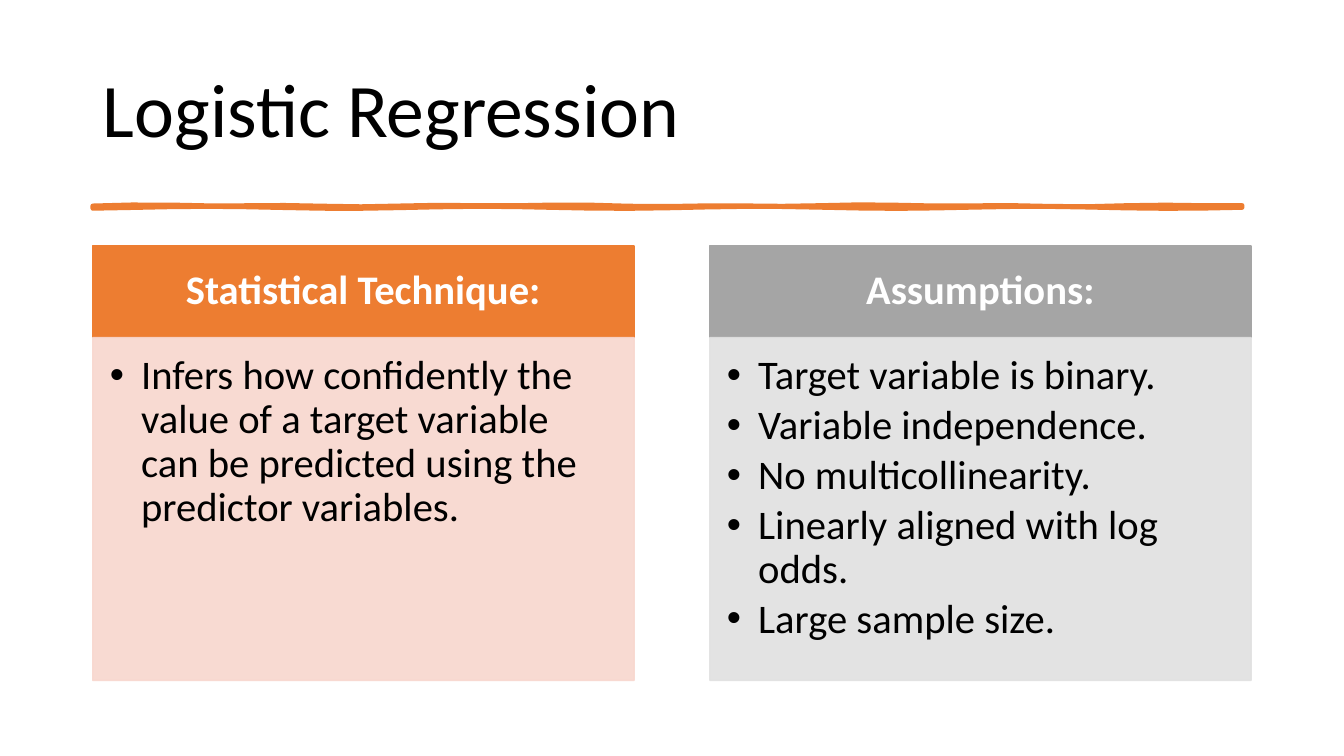
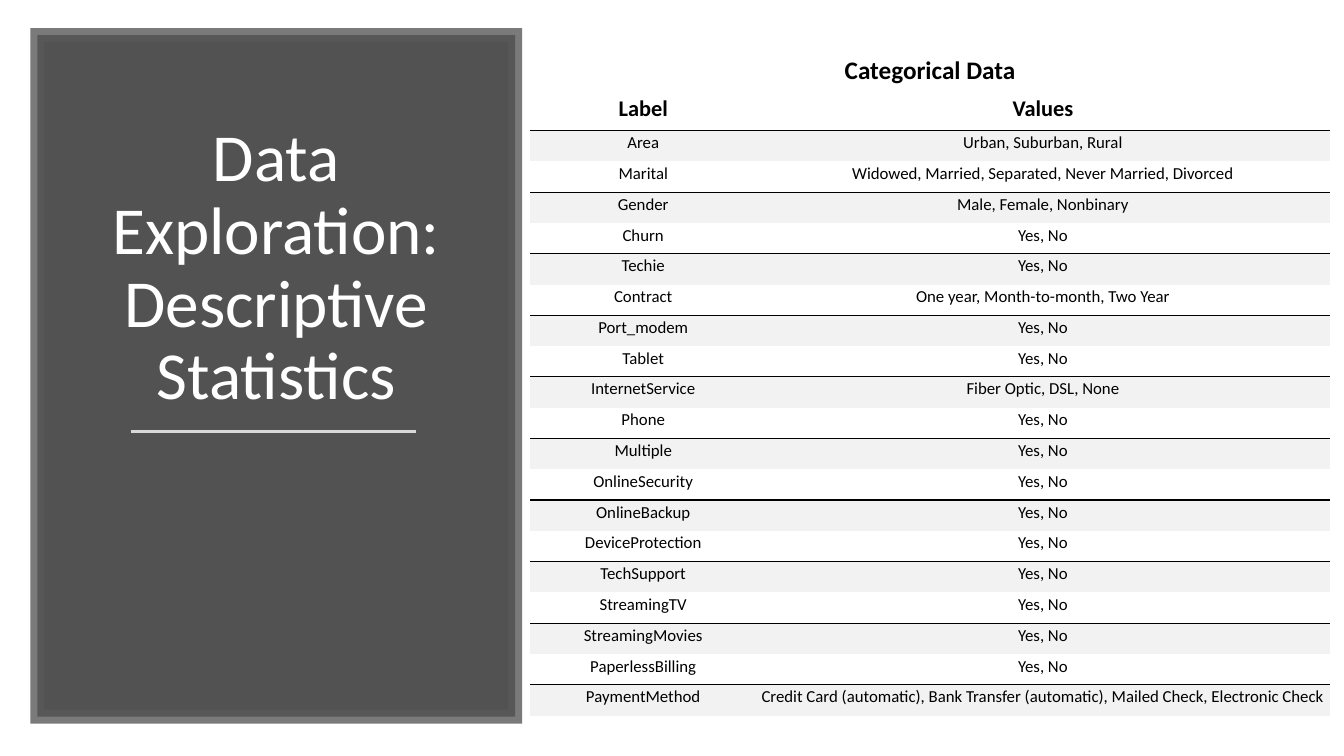
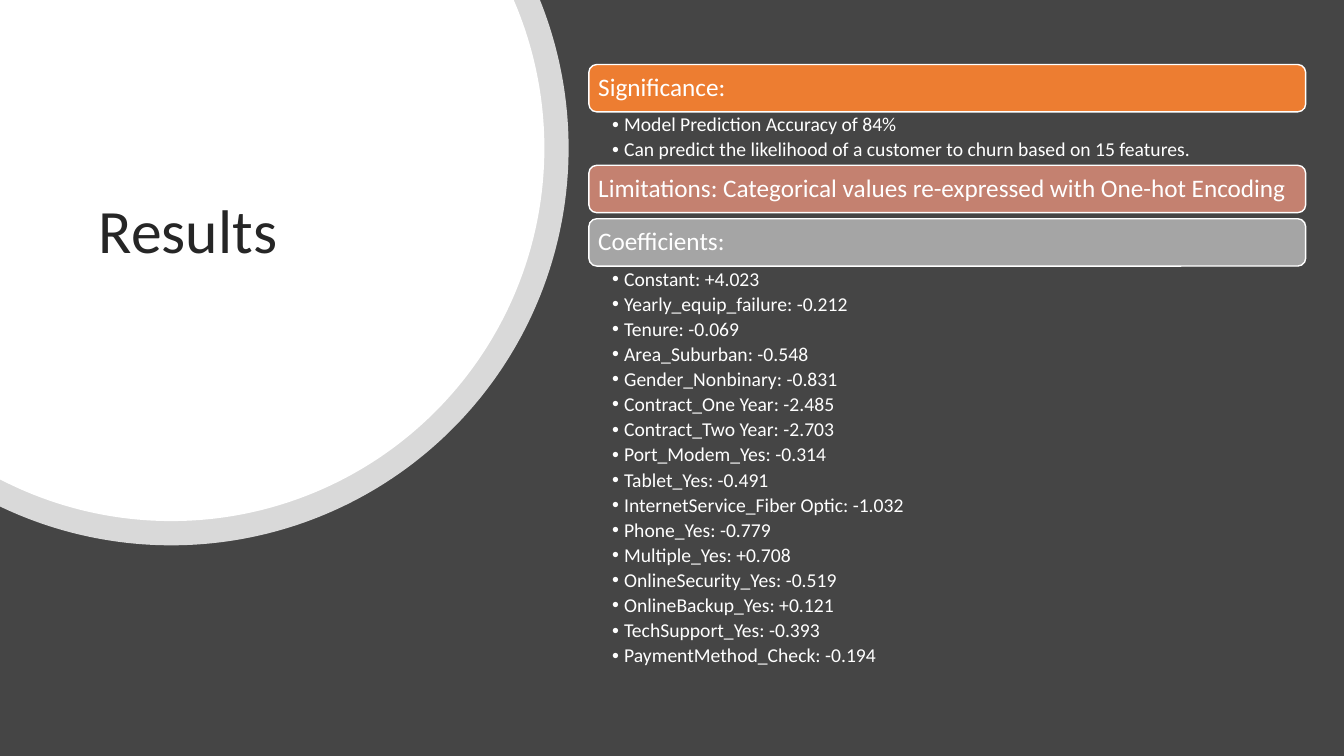
from math import acos, asin, cos, sin, tan

from lxml.etree import SubElement
from pptx import Presentation
from pptx.dml.color import RGBColor
from pptx.enum.shapes import MSO_CONNECTOR, MSO_SHAPE
from pptx.enum.text import MSO_ANCHOR, MSO_AUTO_SIZE, PP_ALIGN
from pptx.oxml.ns import qn
from pptx.util import Inches, Pt

FONT = "Calibri"
HUES = {
    "white": "FFFFFF", "black": "000000", "ink": "262626", "dark": "454545",
    "panel": "404040", "frame": "595959", "rule": "D9D9D9", "band": "F2F2F2",
    "orange": "ED7D31", "peach": "F8D7CE", "gray": "A5A5A5", "pale": "E1E1E1",
    "rose": "C48170",
}
LEFT, MID = PP_ALIGN.LEFT, PP_ALIGN.CENTER
TOP, CENTER, BASE = MSO_ANCHOR.TOP, MSO_ANCHOR.MIDDLE, MSO_ANCHOR.BOTTOM
BARE = "{2D5ABB26-0587-4C30-8999-92F81FD0307C}"  # table style without grid


def write(frame, text, size=18, color="black", bold=False, align=LEFT,
          anchor=None, inset=None, lead=0.9, gap=0, hang=0):
    """Fill a text frame with one line or a list; hang makes bullets."""
    if anchor is not None:
        frame.word_wrap = True
        frame.auto_size = MSO_AUTO_SIZE.NONE
        frame.vertical_anchor = anchor
    if inset:
        (frame.margin_left, frame.margin_top,
         frame.margin_right, frame.margin_bottom) = map(Inches, inset)
    for i, line in enumerate([text] if isinstance(text, str) else text):
        para = frame.add_paragraph() if i else frame.paragraphs[0]
        if hang:
            props = para._p.get_or_add_pPr()
            props.set("marL", str(Inches(hang)))
            props.set("indent", str(-Inches(hang)))
            SubElement(props, qn("a:buFont")).set("typeface", "Arial")
            SubElement(props, qn("a:buChar")).set("char", "•")
        para.alignment = align
        para.line_spacing = lead
        para.space_after = Pt(gap)
        run = para.add_run()
        run.text = line
        run.font.name, run.font.size, run.font.bold = FONT, Pt(size), bold
        run.font.color.rgb = RGBColor.from_string(HUES[color])


def paint(shape, fill, line=None, width=1, alpha=100, edge=100):
    """Set fill, outline and opacity of a shape."""
    shape.shadow.inherit = False
    shape.fill.solid()
    shape.fill.fore_color.rgb = RGBColor.from_string(HUES[fill])
    parts = [(shape.fill, alpha)]
    if line:
        shape.line.width = Pt(width)
        shape.line.color.rgb = RGBColor.from_string(HUES[line])
        parts.append((shape.line.fill, edge))
    else:
        shape.line.fill.background()
    for part, share in parts:
        if share < 100:
            tint = part._xPr.find(qn("a:solidFill"))[0]
            SubElement(tint, qn("a:alpha")).set("val", str(share * 1000))


deck = Presentation()
deck.slide_width, deck.slide_height = Inches(13.33), Inches(7.5)

# Slides with their titles
heads = [
    ("Logistic Regression", (0.92, 0.4, 11.5, 1.45), "white",
     dict(size=54, anchor=CENTER)),
    ("Data Exploration: Descriptive Statistics", (0.74, 1, 4, 3.16), "white",
     dict(size=48, color="white", align=MID, anchor=BASE)),
    ("Results", (0.88, 0.66, 3.52, 3.32), "dark",
     dict(size=44, color="ink", anchor=CENTER)),
]
pages = []
for text, place, back, style in heads:
    page = deck.slides.add_slide(deck.slide_layouts[5])
    page.background.fill.solid()
    page.background.fill.fore_color.rgb = RGBColor.from_string(HUES[back])
    title = page.shapes.title
    title.left, title.top, title.width, title.height = map(Inches, place)
    write(title.text_frame, text, inset=(0.1, 0.05, 0.1, 0.05), **style)
    pages.append(page)

# Slide 1: hand-drawn rule
shapes = pages[0].shapes
steps = [0.92 + 0.38 * i for i in range(31)]
upper = [(x, 2.04 + 0.01 * sin(3.1 * x) * sin(1.3 * x)) for x in steps]
lower = [(x, 2.06 + 0.01 * sin(2.3 * x)) for x in reversed(steps)]
wave = [(Inches(x), Inches(y)) for x, y in upper + lower]
pen = shapes.build_freeform(*wave[0])
pen.add_line_segments(wave[1:])
paint(pen.convert_to_shape(), "orange", "orange", 3.25)

# Slide 1: two columns
cols = [
    ("Statistical Technique:", "orange", "peach",
     ["Infers how confidently the value of a target variable can be "
      "predicted using the predictor variables."]),
    ("Assumptions:", "gray", "pale",
     ["Target variable is binary.", "Variable independence.",
      "No multicollinearity.", "Linearly aligned with log odds.",
      "Large sample size."]),
]
for i, (head, strong, soft, items) in enumerate(cols):
    x, wide = Inches(0.92 + 6.12 * i), Inches(5.37)
    top = shapes.add_shape(MSO_SHAPE.RECTANGLE, x, Inches(2.44), wide, Inches(0.91))
    paint(top, strong, strong)
    write(top.text_frame, head, size=29, color="white", bold=True, align=MID,
          anchor=CENTER, inset=(0.23, 0.13, 0.23, 0.13))
    body = shapes.add_shape(MSO_SHAPE.RECTANGLE, x, Inches(3.35), wide, Inches(3.4))
    paint(body, soft, soft, alpha=90, edge=90)
    write(body.text_frame, items, size=29, anchor=TOP, gap=4.35, hang=0.31,
          inset=(0.17, 0.17, 0.23, 0.25))

# Slide 2: title panel and rule
shapes = pages[1].shapes
panel = shapes.add_shape(MSO_SHAPE.RECTANGLE, Inches(0.37), Inches(0.35),
                         Inches(4.74), Inches(6.76))
paint(panel, "panel", "frame", 10, alpha=90, edge=80)
SubElement(panel.line._get_or_add_ln(), qn("a:miter"), lim="800000")
shapes.title._element.addprevious(panel._element)
rule = shapes.add_connector(MSO_CONNECTOR.STRAIGHT, Inches(1.3), Inches(4.28),
                            Inches(4.13), Inches(4.28))
rule.line.color.rgb = RGBColor.from_string(HUES["rule"])
rule.line.width = Pt(1.75)
SubElement(rule._element.spPr, qn("a:effectLst"))

# Slide 2: table
both = "Yes, No"
rows = [
    ("Categorical Data", ""),
    ("Label", "Values"),
    ("Area", "Urban, Suburban, Rural"),
    ("Marital", "Widowed, Married, Separated, Never Married, Divorced"),
    ("Gender", "Male, Female, Nonbinary"),
    ("Churn", both),
    ("Techie", both),
    ("Contract", "One year, Month-to-month, Two Year"),
    ("Port_modem", both),
    ("Tablet", both),
    ("InternetService", "Fiber Optic, DSL, None"),
    ("Phone", both),
    ("Multiple", both),
    ("OnlineSecurity", both),
    ("OnlineBackup", both),
    ("DeviceProtection", both),
    ("TechSupport", both),
    ("StreamingTV", both),
    ("StreamingMovies", both),
    ("PaperlessBilling", both),
    ("PaymentMethod", "Credit Card (automatic), Bank Transfer (automatic), "
                      "Mailed Check, Electronic Check"),
]
grid = shapes.add_table(len(rows), 2, Inches(5.26), Inches(0.54),
                        Inches(7.93), Inches(6.55)).table
grid._tbl.tblPr.find(qn("a:tableStyleId")).text = BARE
grid.first_row = grid.horz_banding = False
grid.columns[0].width, grid.columns[1].width = Inches(2.24), Inches(5.69)
grid.cell(0, 0).merge(grid.cell(0, 1))
for r, row in enumerate(rows):
    grid.rows[r].height = Inches(0.37 if r < 2 else 5.81 / (len(rows) - 2))
    banded = r > 1 and r % 2 == 0
    for c, text in enumerate(row):
        cell = grid.cell(r, c)
        cell.vertical_anchor = BASE if r == 0 else CENTER
        cell.margin_left = cell.margin_right = Inches(0.04)
        cell.margin_top, cell.margin_bottom = Inches(0.01), Inches(0.07)
        if text:
            write(cell.text_frame, text, size=(18, 16, 12)[min(r, 2)],
                  bold=r < 2, align=MID, lead=1.0)
        # A line runs above each banded row only
        for side, shown in (("a:lnT", banded), ("a:lnB", r % 2 == 1)):
            edge = SubElement(cell._tc.get_or_add_tcPr(), qn(side), w=str(Pt(1)))
            if shown:
                tint = SubElement(edge, qn("a:solidFill"))
                SubElement(tint, qn("a:srgbClr"), val=HUES["black"])
            else:
                SubElement(edge, qn("a:noFill"))
        if banded:
            cell.fill.solid()
            cell.fill.fore_color.rgb = RGBColor.from_string(HUES["band"])
        else:
            cell.fill.background()

# Slide 3: corner disc with a translucent rim
shapes = pages[2].shapes
midx, midy = 1.7, 1.47
for radius, alpha in ((3.94, 80), (3.7, 100)):
    start, stop = -asin(midy / radius), acos(-midx / radius)
    step = (stop - start) / 3
    pull = 4 / 3 * tan(step / 4)
    spots = [(cos(start), sin(start))]
    for i in range(3):
        a, b = start + step * i, start + step * (i + 1)
        spots += [(cos(a) - pull * sin(a), sin(a) + pull * cos(a)),
                  (cos(b) + pull * sin(b), sin(b) - pull * cos(b)),
                  (cos(b), sin(b))]
    pen = shapes.build_freeform(0, 0)
    pen.add_line_segments([(Inches(midx + radius * u), Inches(midy + radius * v))
                           for u, v in spots])
    disc = pen.convert_to_shape()
    # Each three points after the first side become one curve
    lines = list(disc._element.iter(qn("a:lnTo")))[1:10]
    for i in range(0, 9, 3):
        curve = lines[i].makeelement(qn("a:cubicBezTo"))
        lines[i].addprevious(curve)
        for line in lines[i:i + 3]:
            curve.append(line[0])
            line.getparent().remove(line)
    paint(disc, "white", alpha=alpha)
    shapes.title._element.addprevious(disc._element)

# Slide 3: headed lists, stacked downwards
parts = [
    ("Significance:", "orange", 0.53,
     ["Model Prediction Accuracy of 84%",
      "Can predict the likelihood of a customer to churn based on 15 features."]),
    ("Limitations: Categorical values re-expressed with One-hot Encoding",
     "rose", 0.06, []),
    ("Coefficients:", "gray", 4.24,
     ["Constant: +4.023", "Yearly_equip_failure: -0.212", "Tenure: -0.069",
      "Area_Suburban: -0.548", "Gender_Nonbinary: -0.831",
      "Contract_One Year: -2.485", "Contract_Two Year: -2.703",
      "Port_Modem_Yes: -0.314", "Tablet_Yes: -0.491",
      "InternetService_Fiber Optic: -1.032", "Phone_Yes: -0.779",
      "Multiple_Yes: +0.708", "OnlineSecurity_Yes: -0.519",
      "OnlineBackup_Yes: +0.121", "TechSupport_Yes: -0.393",
      "PaymentMethod_Check: -0.194"]),
]
x, y, wide, tall = 5.84, 0.64, 7.11, 0.47
for head, color, room, items in parts:
    bar = shapes.add_shape(MSO_SHAPE.ROUNDED_RECTANGLE, Inches(x), Inches(y),
                           Inches(wide), Inches(tall))
    paint(bar, color, "white")
    write(bar.text_frame, head, color="white", anchor=CENTER, inset=[0.07] * 4)
    y += tall
    if items:
        box = shapes.add_textbox(Inches(x), Inches(y), Inches(wide), Inches(room))
        write(box.text_frame, items, size=14, color="white", anchor=TOP,
              gap=2.8, hang=0.12, inset=(0.23, 0.03, 0.14, 0.03))
    y += room

deck.save("out.pptx")
